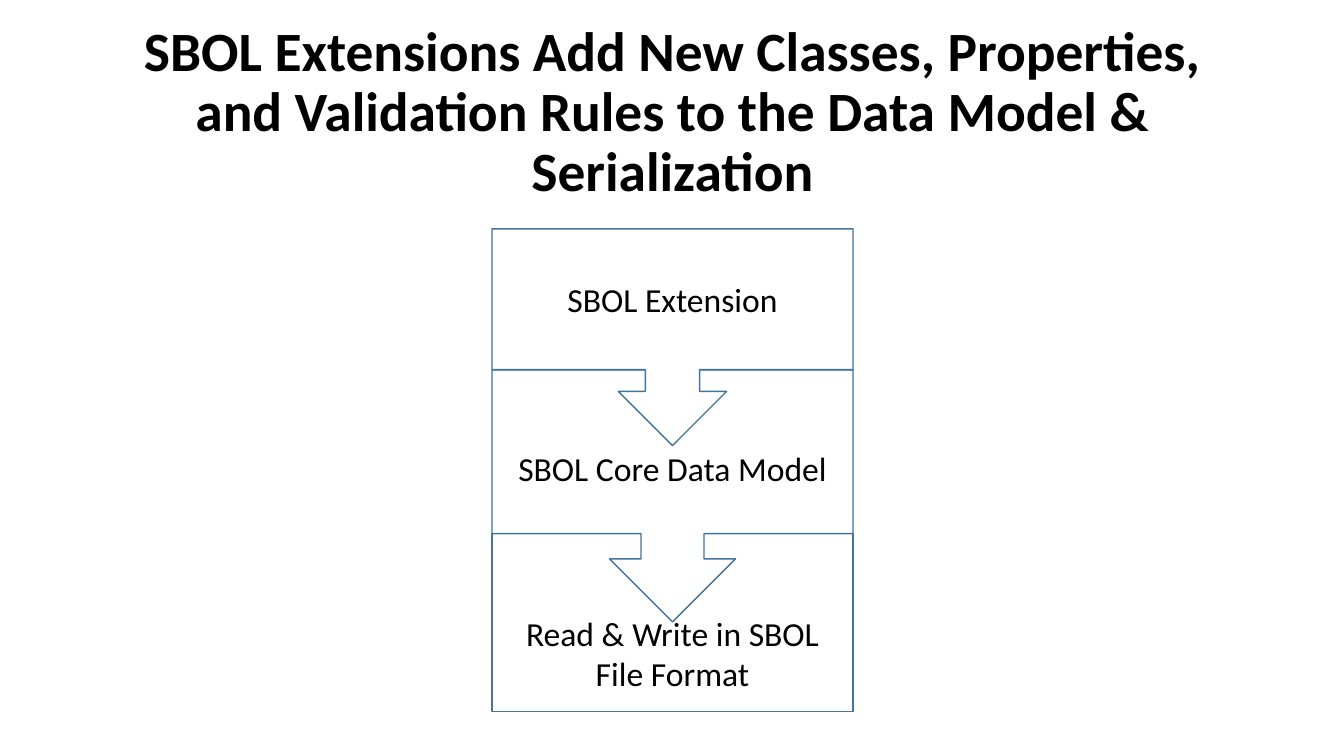
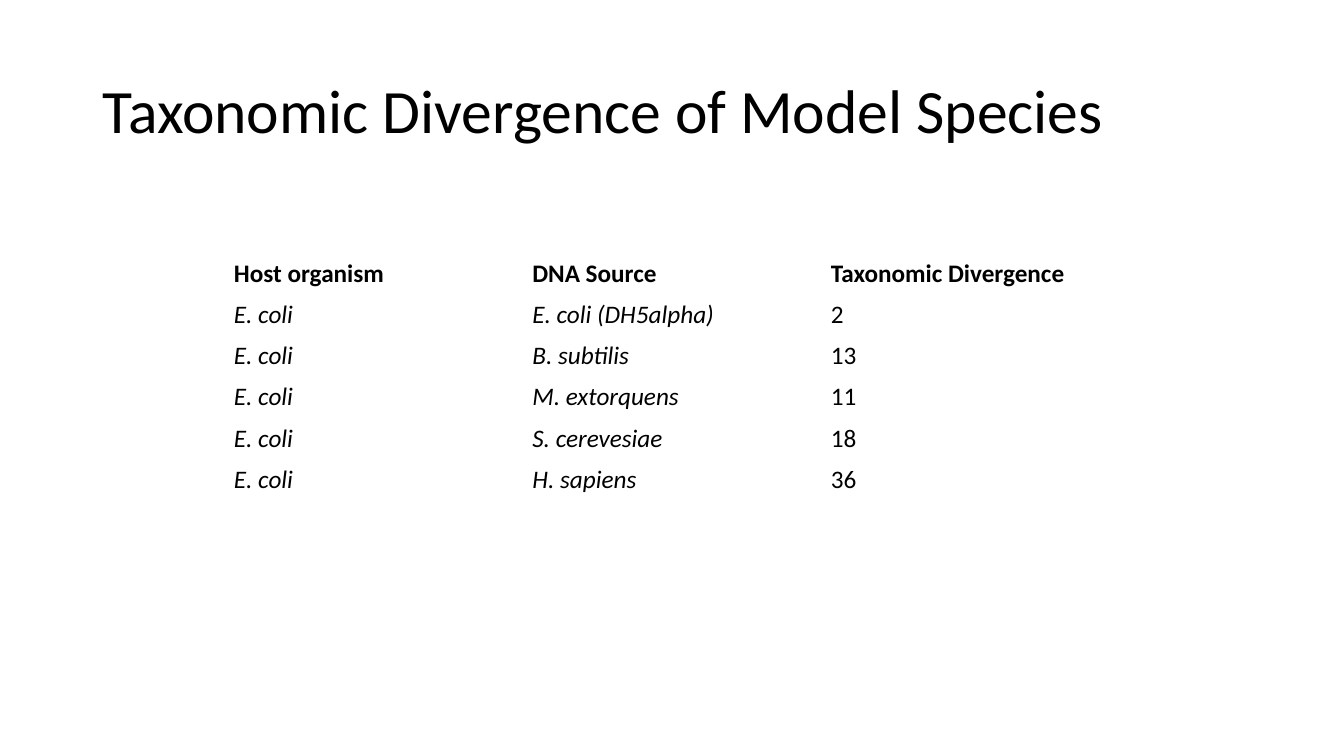
from pptx import Presentation
from pptx.dml.color import RGBColor
from pptx.enum.shapes import MSO_SHAPE
from pptx.enum.text import MSO_ANCHOR, MSO_AUTO_SIZE, PP_ALIGN
from pptx.util import Inches, Pt

FONT = "Calibri"
BLACK, WHITE, BLUE = "000000", "FFFFFF", "43739E"

FLOW_TITLE = ("SBOL Extensions Add New Classes, Properties, and Validation Rules "
              "to the Data Model & Serialization")
FLOW_LEFT, FLOW_WIDTH = 4.88, 3.58
FLOW = [
    ("SBOL Extension", MSO_SHAPE.DOWN_ARROW_CALLOUT, 2.27, 2.15, MSO_ANCHOR.MIDDLE, 0.05),
    ("SBOL Core Data Model", MSO_SHAPE.DOWN_ARROW_CALLOUT, 3.67, 2.5, MSO_ANCHOR.BOTTOM, 0.45),
    ("Read & Write in SBOL File Format", MSO_SHAPE.RECTANGLE, 5.29, 1.77, MSO_ANCHOR.BOTTOM, 0.18),
]

TABLE_TITLE = "Taxonomic Divergence of Model Species"
HEADERS = ["Host organism", "DNA Source", "Taxonomic Divergence"]
HOST = "E. coli"
DIVERGENCE = [
    ("E. coli (DH5alpha)", 2),
    ("B. subtilis", 13),
    ("M. extorquens", 11),
    ("S. cerevesiae", 18),
    ("H. sapiens", 36),
]
COL_WIDTH, ROW_HEIGHT = 2.96, 0.41


def rgb(value):
    return RGBColor.from_string(value)


def write(tf, text, size, bold=False, italic=False, align=PP_ALIGN.LEFT, spacing=None):
    tf.word_wrap = True
    p = tf.paragraphs[0]
    p.alignment = align
    if spacing:
        p.line_spacing = spacing
    r = p.add_run()
    r.text = text
    r.font.name, r.font.size = FONT, Pt(size)
    r.font.bold, r.font.italic = bold, italic
    r.font.color.rgb = rgb(BLACK)


def add_slide(prs, title, **style):
    s = prs.slides.add_slide(prs.slide_layouts[5])
    sp = s.shapes.title
    sp.left, sp.top, sp.width, sp.height = map(Inches, (0.92, 0.4, 11.5, 1.45))
    tf = sp.text_frame
    tf.auto_size = MSO_AUTO_SIZE.NONE
    tf.vertical_anchor = MSO_ANCHOR.MIDDLE
    write(tf, title, spacing=0.9, **style)
    return s


def add_step(s, text, kind, top, height, anchor, bottom_inset):
    sp = s.shapes.add_shape(kind, Inches(FLOW_LEFT), Inches(top),
                            Inches(FLOW_WIDTH), Inches(height))
    sp.shadow.inherit = False
    sp.fill.solid()
    sp.fill.fore_color.rgb = rgb(WHITE)
    sp.line.color.rgb = rgb(BLUE)
    sp.line.width = Pt(1)
    tf = sp.text_frame
    tf.vertical_anchor = anchor
    tf.margin_bottom = Inches(bottom_inset)
    write(tf, text, 24, align=PP_ALIGN.CENTER)


def add_divergence_table(s):
    rows = [HEADERS] + [(HOST, source, str(value)) for source, value in DIVERGENCE]
    table = s.shapes.add_table(len(rows), len(HEADERS), Inches(2.22), Inches(2.51),
                               Inches(COL_WIDTH * len(HEADERS)),
                               Inches(ROW_HEIGHT * len(rows))).table
    table.horz_banding = False
    table.first_row = False
    for i, row in enumerate(rows):
        for j, text in enumerate(row):
            cell = table.cell(i, j)
            cell.fill.background()
            write(cell.text_frame, text, 18, bold=i == 0, italic=i > 0 and j < 2)


def main():
    prs = Presentation()
    prs.slide_width, prs.slide_height = Inches(13.33), Inches(7.5)
    s = add_slide(prs, FLOW_TITLE, size=39.6, bold=True, align=PP_ALIGN.CENTER)
    for step in reversed(FLOW):
        add_step(s, *step)
    add_divergence_table(add_slide(prs, TABLE_TITLE, size=44))
    prs.save("out.pptx")


if __name__ == "__main__":
    main()
